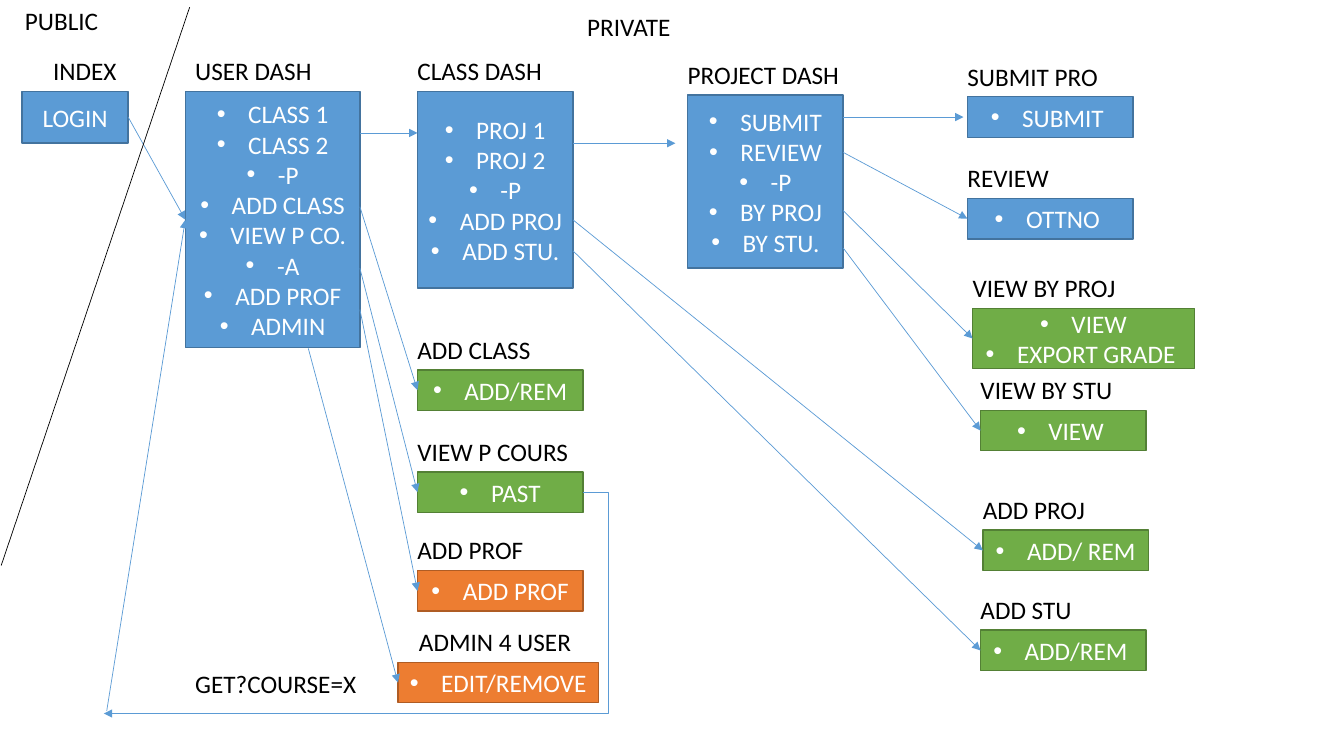
from dataclasses import dataclass

from lxml.etree import SubElement
from pptx import Presentation
from pptx.dml.color import RGBColor
from pptx.enum.shapes import MSO_CONNECTOR, MSO_SHAPE
from pptx.enum.text import MSO_ANCHOR, MSO_AUTO_SIZE, PP_ALIGN
from pptx.oxml.ns import qn
from pptx.shapes.connector import Connector
from pptx.slide import Slide
from pptx.text.text import _Paragraph as Paragraph
from pptx.util import Cm, Pt

COLORS = {
    "blue": "5B9BD5", "blue edge": "43739E",
    "green": "70AD47", "green edge": "538035",
    "orange": "ED7D31", "orange edge": "AF5C24",
    "white": "FFFFFF", "black": "000000",
}
LABEL_HEIGHT = 1.03


@dataclass(frozen=True)
class Page:
    label: str
    left: float
    top: float
    items: tuple[str, ...]
    color: str = "green"
    width: float = 4.17
    height: float = 1.02
    label_shift: float = -0.25
    label_width: float = 4.4
    bulleted: bool = True


@dataclass(frozen=True)
class Link:
    source: str
    target: str
    start_y: float


@dataclass(frozen=True)
class Line:
    start: tuple[float, float]
    end: tuple[float, float]
    color: str = "blue"
    arrow: bool = True


@dataclass(frozen=True)
class Caption:
    text: str
    left: float
    top: float
    width: float
    wrap: bool = True


PAGES = [
    Page("INDEX", 0.56, 2.31, ("LOGIN",), "blue", 2.67, 1.3, 0.53, 2.13, False),
    Page("USER DASH", 4.67, 2.31,
         ("CLASS 1", "CLASS 2", "-P", "ADD CLASS", "VIEW P CO.", "-A", "ADD PROF", "ADMIN"),
         "blue", 4.4, 6.45, 0),
    Page("CLASS DASH", 10.52, 2.31,
         ("PROJ 1", "PROJ 2", "-P", "ADD PROJ", "ADD STU."), "blue", 3.92, 4.95),
    Page("PROJECT DASH", 17.33, 2.39,
         ("SUBMIT", "REVIEW", "-P", "BY PROJ", "BY STU."), "blue", 3.92, 4.37),
    Page("ADD CLASS", 10.52, 9.32, ("ADD/REM",)),
    Page("VIEW P COURS", 10.52, 11.89, ("PAST",)),
    Page("ADD PROF", 10.52, 14.38, ("ADD PROF",), "orange"),
    Page("ADMIN 4 USER", 10.03, 16.69, ("EDIT/REMOVE ",), "orange", 5.05, label_shift=0.28),
    Page("SUBMIT PRO", 24.38, 2.44, ("SUBMIT ",), "blue"),
    Page("REVIEW", 24.38, 5.0, ("OTTNO ",), "blue"),
    Page("VIEW BY PROJ", 24.51, 7.77, ("VIEW", "EXPORT GRADE "), width=5.59, height=1.52),
    Page("VIEW BY STU", 24.71, 10.34, ("VIEW ",)),
    Page("ADD PROJ", 24.77, 13.36, ("ADD/ REM",)),
    Page("ADD STU", 24.71, 15.88, ("ADD/REM ",)),
]

LINKS = [
    Link("INDEX", "USER DASH", 2.95),
    Link("USER DASH", "ADD CLASS", 5.21),
    Link("USER DASH", "VIEW P COURS", 6.76),
    Link("USER DASH", "ADD PROF", 7.8),
    Link("PROJECT DASH", "REVIEW", 3.84),
    Link("PROJECT DASH", "VIEW BY PROJ", 5.31),
    Link("PROJECT DASH", "VIEW BY STU", 6.25),
    Link("CLASS DASH", "ADD PROJ", 5.54),
    Link("CLASS DASH", "ADD STU", 6.32),
]

LINES = [
    Line((9.07, 3.35), (10.52, 3.35)),
    Line((14.44, 3.61), (17.02, 3.61)),
    Line((21.25, 2.95), (24.28, 2.95)),
    Line((7.77, 8.78), (10.03, 17.2)),
    Line((2.69, 17.91), (4.67, 5.54)),
    Line((4.78, 0.18), (0.03, 14.25), "black", False),
]
RETURN_LINE = Line((14.69, 12.4), (2.62, 17.98))
RETURN_BEND = -5300

CAPTIONS = [
    Caption("PUBLIC", 0.38, 0, 3.61),
    Caption("PRIVATE", 14.55, 0.15, 2.62, False),
    Caption("GET?COURSE=X", 4.67, 16.71, 4.88),
]


def rgb(name: str) -> RGBColor:
    return RGBColor.from_string(COLORS[name])


def add_text(paragraph: Paragraph, text: str, color: str) -> None:
    run = paragraph.add_run()
    run.text = text
    run.font.name = "Calibri"
    run.font.size = Pt(18)
    run.font.color.rgb = rgb(color)


def add_bullet(paragraph: Paragraph) -> None:
    properties = paragraph._p.get_or_add_pPr()
    properties.set("marL", str(Cm(0.79)))
    properties.set("indent", str(-Cm(0.79)))
    SubElement(properties, qn("a:buFont")).set("typeface", "Arial")
    SubElement(properties, qn("a:buChar")).set("char", "•")


def draw_caption(slide: Slide, caption: Caption) -> None:
    shape = slide.shapes.add_textbox(
        Cm(caption.left), Cm(caption.top), Cm(caption.width), Cm(LABEL_HEIGHT))
    shape.text_frame.word_wrap = caption.wrap
    shape.text_frame.auto_size = MSO_AUTO_SIZE.SHAPE_TO_FIT_TEXT
    add_text(shape.text_frame.paragraphs[0], caption.text, "black")


def draw_page(slide: Slide, page: Page) -> None:
    shape = slide.shapes.add_shape(
        MSO_SHAPE.RECTANGLE, Cm(page.left), Cm(page.top), Cm(page.width), Cm(page.height))
    shape.shadow.inherit = False
    shape.fill.solid()
    shape.fill.fore_color.rgb = rgb(page.color)
    shape.line.color.rgb = rgb(f"{page.color} edge")
    shape.line.width = Pt(1)
    frame = shape.text_frame
    frame.vertical_anchor = MSO_ANCHOR.MIDDLE
    for index, item in enumerate(page.items):
        paragraph = frame.add_paragraph() if index else frame.paragraphs[0]
        paragraph.alignment = PP_ALIGN.CENTER
        if page.bulleted:
            add_bullet(paragraph)
        add_text(paragraph, item, "white")
    draw_caption(slide, Caption(page.label, page.left + page.label_shift,
                                page.top - LABEL_HEIGHT, page.label_width))


def draw_line(slide: Slide, line: Line,
              kind: MSO_CONNECTOR = MSO_CONNECTOR.STRAIGHT) -> Connector:
    start_x, start_y = line.start
    end_x, end_y = line.end
    connector = slide.shapes.add_connector(
        kind, Cm(start_x), Cm(start_y), Cm(end_x), Cm(end_y))
    connector.line.color.rgb = rgb(line.color)
    connector.line.width = Pt(0.5)
    if line.arrow:
        SubElement(connector.line._get_or_add_ln(), qn("a:tailEnd")).set("type", "triangle")
    SubElement(connector._element.spPr, qn("a:effectLst"))
    return connector


def draw_link(slide: Slide, link: Link, pages: dict[str, Page]) -> None:
    source, target = pages[link.source], pages[link.target]
    draw_line(slide, Line((source.left + source.width, link.start_y),
                          (target.left, target.top + target.height / 2)))


def draw_return(slide: Slide) -> None:
    connector = draw_line(slide, RETURN_LINE, MSO_CONNECTOR.ELBOW)
    adjustments = connector._element.spPr.find(qn("a:prstGeom")).get_or_add_avLst()
    guide = SubElement(adjustments, qn("a:gd"))
    guide.set("name", "adj1")
    guide.set("fmla", f"val {RETURN_BEND}")


def main() -> None:
    presentation = Presentation()
    presentation.slide_width = Cm(33.87)
    presentation.slide_height = Cm(19.05)
    slide = presentation.slides.add_slide(presentation.slide_layouts[6])
    pages = {page.label: page for page in PAGES}
    for page in PAGES:
        draw_page(slide, page)
    for link in LINKS:
        draw_link(slide, link, pages)
    for line in LINES:
        draw_line(slide, line)
    draw_return(slide)
    for caption in CAPTIONS:
        draw_caption(slide, caption)
    presentation.save("out.pptx")


if __name__ == "__main__":
    main()
